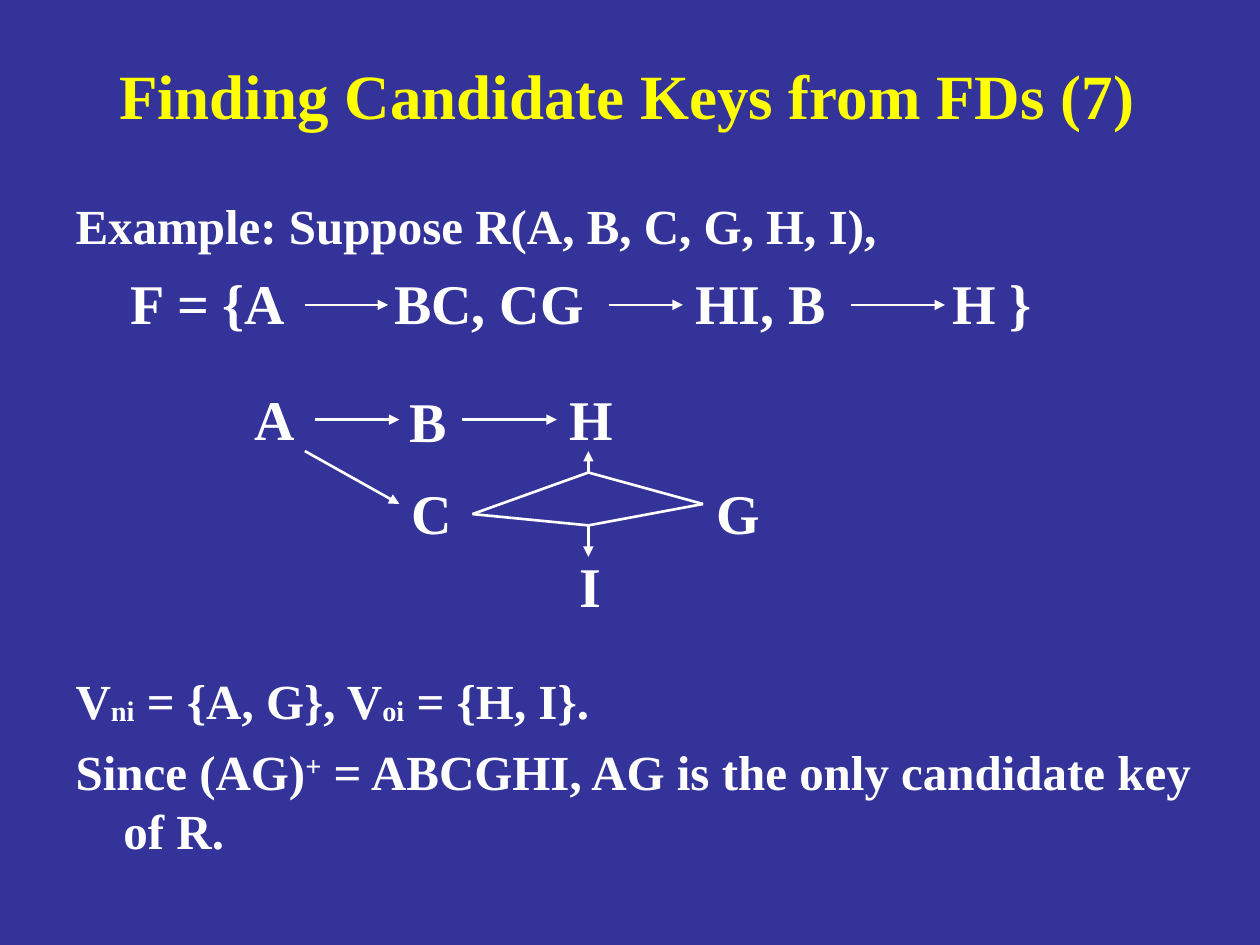
from dataclasses import dataclass
from itertools import pairwise

from lxml.etree import SubElement
from pptx import Presentation
from pptx.dml.color import RGBColor
from pptx.enum.shapes import MSO_CONNECTOR
from pptx.enum.text import MSO_ANCHOR, MSO_AUTO_SIZE, PP_ALIGN
from pptx.oxml.ns import qn
from pptx.util import Inches, Pt


@dataclass(frozen=True)
class Theme:
    font: str = "Times New Roman"
    background: RGBColor = RGBColor(0x33, 0x33, 0x99)
    title: RGBColor = RGBColor(0xFF, 0xFF, 0x00)
    text: RGBColor = RGBColor(0xFF, 0xFF, 0xFF)
    title_size: int = 36
    body_size: int = 28
    label_size: int = 32
    line_width: float = 1.5


THEME = Theme()

# Content: runs are (text, baseline shift in percent)
TITLE = "Finding Candidate Keys from FDs (7)"
BODY = [
    {"runs": [("Example: Suppose R(A, B, C, G, H, I),", 0)], "before": 0},
    # An en space separates the two sets; the space before holds the graph
    {"runs": [("V", 0), ("ni", -4), (" = {A, G}, V", 0), ("oi", -4),
              (" = {H, I}.", 0)], "before": 238},
    {"runs": [("Since (AG)", 0), ("+", 30),
              (" = ABCGHI, AG is the only candidate key of R.", 0)],
     "before": 7},
]
HANGING_INDENT = 0.38

# Labels: text, left, top, width
FORMULA_TOP = 2.08
FORMULA = [
    (text, left, FORMULA_TOP, width)
    for text, left, width in (("F = {A", 0.94, 1.42), ("BC, CG", 3.03, 1.7),
                              ("HI, B", 5.42, 1.24), ("H }", 7.46, 0.83))
]
ATTRIBUTES = [
    ("A", 1.92, 3, 0.52), ("B", 3.15, 3.02, 0.49), ("H", 4.42, 3, 0.54),
    ("C", 3.17, 3.75, 0.52), ("G", 5.59, 3.75, 0.54), ("I", 4.5, 4.33, 0.37),
]
LABEL_HEIGHT = 0.64

# Lines: start point, end point
FORMULA_Y, TOP_ROW_Y = 2.42, 3.33
JOIN_H, JOIN_I = (4.67, 3.75), (4.67, 4.17)
C_SIDE, G_SIDE = (3.75, 4.08), (5.58, 4)
ARROWS = [
    *[((start, FORMULA_Y), (end, FORMULA_Y))
      for start, end in ((2.42, 3.08), (4.83, 5.42), (6.75, 7.5))],
    *[((start, TOP_ROW_Y), (end, TOP_ROW_Y))
      for start, end in ((2.5, 3.17), (3.67, 4.42))],
    ((2.42, 3.58), (3.17, 4)),
    (JOIN_H, (4.67, 3.58)),
    (JOIN_I, (4.67, 4.42)),
]
JOIN_LINES = list(pairwise([C_SIDE, JOIN_H, G_SIDE, JOIN_I, C_SIDE]))


def place(shape, left, top, width, height):
    shape.left, shape.top = Inches(left), Inches(top)
    shape.width, shape.height = Inches(width), Inches(height)


def add_run(paragraph, text, size, color=THEME.text, baseline=0):
    run = paragraph.add_run()
    run.text = text
    run.font.name, run.font.size, run.font.bold = THEME.font, Pt(size), True
    run.font.color.rgb = color
    if baseline:
        run._r.get_or_add_rPr().set("baseline", str(baseline * 1000))


def fill_paragraph(paragraph, runs, before):
    properties = paragraph._p.get_or_add_pPr()
    properties.set("marL", str(Inches(HANGING_INDENT)))
    properties.set("indent", str(Inches(-HANGING_INDENT)))
    SubElement(properties, qn("a:buNone"))
    paragraph.space_before = Pt(before)
    for text, baseline in runs:
        add_run(paragraph, text, THEME.body_size, baseline=baseline)


def add_label(slide, text, left, top, width):
    box = slide.shapes.add_textbox(
        *[Inches(value) for value in (left, top, width, LABEL_HEIGHT)])
    box.text_frame.word_wrap = False
    box.text_frame.auto_size = MSO_AUTO_SIZE.NONE
    paragraph = box.text_frame.paragraphs[0]
    paragraph.alignment = PP_ALIGN.LEFT
    add_run(paragraph, text, THEME.label_size)


def add_line(slide, start, end, arrow=False):
    ends = [Inches(value) for value in (*start, *end)]
    connector = slide.shapes.add_connector(MSO_CONNECTOR.STRAIGHT, *ends)
    connector.line.color.rgb = THEME.text
    connector.line.width = Pt(THEME.line_width)
    if arrow:
        SubElement(connector.line._get_or_add_ln(), qn("a:tailEnd"), type="triangle")
    SubElement(connector._element.spPr, qn("a:effectLst"))


def main():
    presentation = Presentation()
    presentation.slide_width, presentation.slide_height = Inches(10), Inches(7.5)
    slide = presentation.slides.add_slide(presentation.slide_layouts[1])
    slide.background.fill.solid()
    slide.background.fill.fore_color.rgb = THEME.background

    # Title
    title = slide.shapes.title
    place(title, 0.35, 0.33, 9.25, 0.83)
    title.text_frame.auto_size = MSO_AUTO_SIZE.NONE
    title.text_frame.vertical_anchor = MSO_ANCHOR.MIDDLE
    heading = title.text_frame.paragraphs[0]
    heading.alignment = PP_ALIGN.CENTER
    add_run(heading, TITLE, THEME.title_size, THEME.title)

    # Body
    body = slide.placeholders[1]
    place(body, 0.5, 1.5, 9.17, 5.67)
    frame = body.text_frame
    frame.auto_size = MSO_AUTO_SIZE.NONE
    for index, item in enumerate(BODY):
        paragraph = frame.add_paragraph() if index else frame.paragraphs[0]
        fill_paragraph(paragraph, **item)

    # Formula parts and attribute labels
    for label in FORMULA + ATTRIBUTES:
        add_label(slide, *label)

    # Dependencies
    for start, end in ARROWS:
        add_line(slide, start, end, arrow=True)
    for start, end in JOIN_LINES:
        add_line(slide, start, end)

    presentation.save("out.pptx")


if __name__ == "__main__":
    main()
